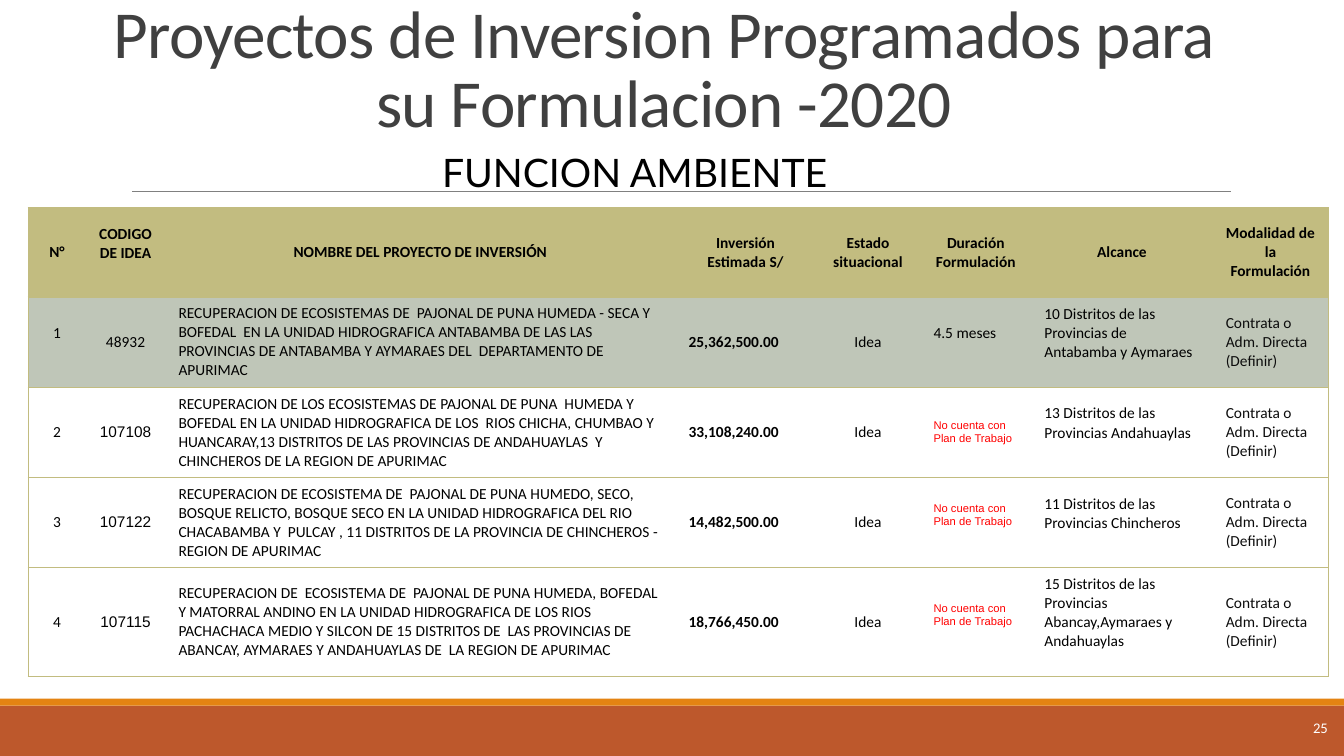
import pptx
import pptx.dml.color
import pptx.enum.shapes
import pptx.enum.text
import pptx.oxml
import pptx.oxml.ns
import pptx.util
from lxml import etree

RGBColor = pptx.dml.color.RGBColor
Align = pptx.enum.text.PP_ALIGN
Anchor = pptx.enum.text.MSO_ANCHOR

BLACK = RGBColor(0x00, 0x00, 0x00)
NEAR_BLACK = RGBColor(0x0D, 0x0D, 0x0D)
WHITE = RGBColor(0xFF, 0xFF, 0xFF)
TITLE_GREY = RGBColor(0x40, 0x40, 0x40)
RULE_GREY = RGBColor(0x80, 0x80, 0x80)
RUST = RGBColor(0xBD, 0x58, 0x2C)
ORANGE = RGBColor(0xE4, 0x83, 0x12)
OLIVE = RGBColor(0xC2, 0xBC, 0x80)
SAGE = RGBColor(0xBF, 0xC6, 0xB8)
RED = RGBColor(0xFF, 0x00, 0x00)

SLIDE_WIDTH = pptx.util.Inches(13.33)
SLIDE_HEIGHT = pptx.util.Inches(7.5)
GRID = 100  # columns across and rows down the slide

COLUMN_SPANS = (4.28, 5.93, 37.95, 10.43, 7.8, 8.25, 13.5, 8.6)
ROW_SPANS = (11.83, 11.83, 11.83, 11.83, 14.4)
NUMBER, CODE, NAME, COST, STATUS, DURATION, SCOPE, MODE = range(8)
CENTERED = (NUMBER, CODE, STATUS)

HEADINGS = ("N°", "CODIGO DE IDEA", "NOMBRE DEL PROYECTO DE INVERSIÓN",
            "Inversión Estimada S/", "Estado situacional",
            "Duración Formulación", "Alcance", "Modalidad de la Formulación")
NO_PLAN = "No cuenta con\nPlan de Trabajo"
CONTRACT = "Contrata o Adm. Directa\n(Definir)"
PROJECTS = (
    ("1", "48932",
     "RECUPERACION DE ECOSISTEMAS DE  PAJONAL DE PUNA HUMEDA - SECA Y BOFEDAL  EN LA "
     "UNIDAD HIDROGRAFICA ANTABAMBA DE LAS LAS PROVINCIAS DE ANTABAMBA Y AYMARAES DEL  "
     "DEPARTAMENTO DE APURIMAC",
     "25,362,500.00", "Idea", "4.5 meses",
     "10 Distritos de las\nProvincias de Antabamba y Aymaraes", CONTRACT),
    ("2", "107108",
     "RECUPERACION DE LOS ECOSISTEMAS DE PAJONAL DE PUNA  HUMEDA Y BOFEDAL EN LA UNIDAD "
     "HIDROGRAFICA DE LOS  RIOS CHICHA, CHUMBAO Y HUANCARAY,13 DISTRITOS DE LAS "
     "PROVINCIAS DE ANDAHUAYLAS  Y CHINCHEROS DE LA REGION DE APURIMAC",
     "33,108,240.00", "Idea", NO_PLAN,
     "13 Distritos de las Provincias Andahuaylas", CONTRACT),
    ("3", "107122",
     "RECUPERACION DE ECOSISTEMA DE  PAJONAL DE PUNA HUMEDO, SECO, BOSQUE RELICTO, BOSQUE "
     "SECO EN LA UNIDAD HIDROGRAFICA DEL RIO CHACABAMBA Y  PULCAY , 11 DISTRITOS DE LA "
     "PROVINCIA DE CHINCHEROS - REGION DE APURIMAC",
     "14,482,500.00", "Idea", NO_PLAN,
     "11 Distritos de las Provincias Chincheros", CONTRACT),
    ("4", "107115",
     "RECUPERACION DE  ECOSISTEMA DE  PAJONAL DE PUNA HUMEDA, BOFEDAL Y MATORRAL ANDINO EN "
     "LA UNIDAD HIDROGRAFICA DE LOS RIOS PACHACHACA MEDIO Y SILCON DE 15 DISTRITOS DE  LAS "
     "PROVINCIAS DE ABANCAY, AYMARAES Y ANDAHUAYLAS DE  LA REGION DE APURIMAC",
     "18,766,450.00", "Idea", NO_PLAN,
     "15 Distritos de las Provincias Abancay,Aymaraes y Andahuaylas", CONTRACT),
)
# Cells whose text sits above the middle: (row, column) -> extra bottom inset
RAISED = {(0, CODE): 0.18, (1, NUMBER): 0.18, (1, DURATION): 0.18,
          (3, DURATION): 0.14, (4, DURATION): 0.14,
          **{(row, SCOPE): 0.18 for row in range(1, 5)}}


def across(columns):
    return round(SLIDE_WIDTH * columns / GRID)


def down(rows):
    return round(SLIDE_HEIGHT * rows / GRID)


def grid_box(left, top, width, height):
    return across(left), down(top), across(width), down(height)


def write(frame, text, size, color, align, font="Calibri", bold=False):
    """Fill the frame, one paragraph for each line of text."""
    for index, line in enumerate(text.split("\n")):
        paragraph = frame.add_paragraph() if index else frame.paragraphs[0]
        paragraph.alignment = align
        run = paragraph.add_run()
        run.text = line
        run.font.size = pptx.util.Pt(size)
        run.font.name = font
        run.font.bold = bold
        run.font.color.rgb = color


def set_frame(frame, anchor):
    frame.word_wrap = True
    frame.auto_size = pptx.enum.text.MSO_AUTO_SIZE.NONE
    frame.vertical_anchor = anchor
    frame.margin_left = frame.margin_right = 0
    frame.margin_top = frame.margin_bottom = 0


def add_band(slide, top, height, color):
    band = slide.shapes.add_shape(pptx.enum.shapes.MSO_SHAPE.RECTANGLE,
                                  *grid_box(0, top, GRID, height))
    band.shadow.inherit = False
    band.fill.solid()
    band.fill.fore_color.rgb = color
    band.line.fill.background()


def add_rule(slide, start, end, level):
    rule = slide.shapes.add_connector(pptx.enum.shapes.MSO_CONNECTOR.STRAIGHT,
                                      across(start), down(level), across(end), down(level))
    rule.line.color.rgb = RULE_GREY
    rule.line.width = pptx.util.Pt(0.5)
    etree.SubElement(rule._element.spPr, pptx.oxml.ns.qn("a:effectLst"))


def add_label(slide, box, anchor, text, size, color, align, font="Calibri"):
    label = slide.shapes.add_textbox(*grid_box(*box))
    set_frame(label.text_frame, anchor)
    write(label.text_frame, text, size, color, align, font)


def place_title(slide, text):
    title = slide.shapes.title
    title.left, title.top, title.width, title.height = grid_box(6.08, 1.6, 86.65, 17.07)
    set_frame(title.text_frame, Anchor.BOTTOM)
    write(title.text_frame, text, 48, TITLE_GREY, Align.CENTER)
    heading = title.text_frame.paragraphs[0]
    heading.line_spacing = 0.85
    heading.runs[0].font._element.set("spc", "-50")


def set_borders(cell, column):
    """Rule the cell above and below, and at the table's outer sides only."""
    ruled = {"L": column == NUMBER, "R": column == MODE, "T": True, "B": True}
    for side, visible in ruled.items():
        paint = (f'<a:solidFill><a:srgbClr val="{OLIVE}"/></a:solidFill>'
                 if visible else "<a:noFill/>")
        cell._tc.get_or_add_tcPr().append(pptx.oxml.parse_xml(
            f'<a:ln{side} {pptx.oxml.ns.nsdecls("a")} w="12700">{paint}</a:ln{side}>'))


def text_style(row, column, text):
    """Return size, colour, alignment, font and bold for a table cell."""
    if row == 0:
        return 11, BLACK, Align.CENTER, "Calibri", True
    if text == NO_PLAN:
        return 8, RED, Align.LEFT, "Arial", False
    font = "Arial" if column == CODE and row > 1 else "Calibri"
    color = NEAR_BLACK if column == MODE else BLACK
    align = Align.CENTER if column in CENTERED else Align.LEFT
    return 11, color, align, font, column == COST


def fill_cell(cell, row, column, text):
    set_borders(cell, column)
    if row < 2:
        cell.fill.solid()
        cell.fill.fore_color.rgb = (OLIVE, SAGE)[row]
    else:
        cell.fill.background()
    cell.vertical_anchor = Anchor.MIDDLE
    cell.margin_left = cell.margin_right = pptx.util.Inches(0.13)
    cell.margin_top = pptx.util.Inches(0.07)
    cell.margin_bottom = pptx.util.Inches(0.07 + RAISED.get((row, column), 0))
    write(cell.text_frame, text, *text_style(row, column, text))


def add_projects(slide):
    table = slide.shapes.add_table(
        len(ROW_SPANS), len(COLUMN_SPANS),
        *grid_box(2.1, 27.47, sum(COLUMN_SPANS), sum(ROW_SPANS))).table
    table.first_row = table.horz_banding = False
    for column, span in zip(table.columns, COLUMN_SPANS):
        column.width = across(span)
    for row, texts in enumerate((HEADINGS, *PROJECTS)):
        table.rows[row].height = down(ROW_SPANS[row])
        for column, text in enumerate(texts):
            fill_cell(table.cell(row, column), row, column, text)


def main():
    deck = pptx.Presentation()
    deck.slide_width, deck.slide_height = SLIDE_WIDTH, SLIDE_HEIGHT
    slide = deck.slides.add_slide(deck.slide_layouts.get_by_name("Title Only"))
    add_band(slide, 93.33, 6.67, RUST)
    add_band(slide, 92.4, 0.93, ORANGE)
    add_rule(slide, 9.83, 91.6, 25.33)
    place_title(slide, "Proyectos de Inversion Programados para su Formulacion -2020")
    add_label(slide, (92.8, 92.4, 6, 7.6), Anchor.MIDDLE, "25", 10.5, WHITE, Align.RIGHT)
    add_projects(slide)
    add_label(slide, (3.9, 17.07, 86.65, 8.8), Anchor.BOTTOM, "FUNCION AMBIENTE",
              28, BLACK, Align.CENTER, "Lato")
    deck.save("out.pptx")


if __name__ == "__main__":
    main()
